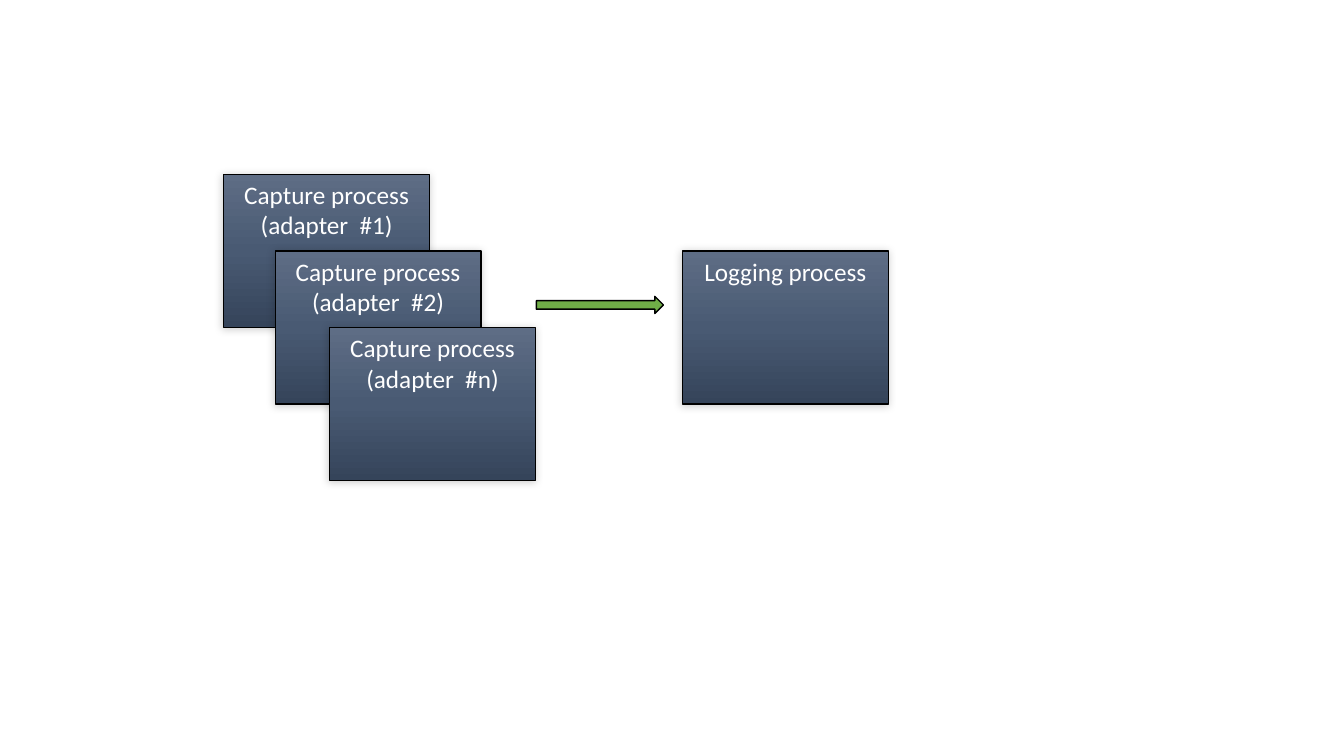
from copy import deepcopy

from lxml.etree import SubElement
from pptx import Presentation
from pptx.dml.color import RGBColor
from pptx.enum.shapes import MSO_SHAPE as Shape
from pptx.enum.text import MSO_ANCHOR as Anchor, PP_ALIGN as Align
from pptx.oxml.ns import qn
from pptx.util import Inches, Pt

WHITE = RGBColor(0xFF, 0xFF, 0xFF)
BLACK = RGBColor(0x00, 0x00, 0x00)
GREEN = RGBColor(0x70, 0xAD, 0x47)
SLATE_STOPS = (
    (0, RGBColor(0x5E, 0x6D, 0x85)),
    (0.5, RGBColor(0x49, 0x5A, 0x73)),
    (1, RGBColor(0x35, 0x44, 0x5A)),
)
BOX_WIDTH, BOX_HEIGHT = 2.04, 1.52
STACK_TOP = 1.73
STACK_STEP = BOX_HEIGHT / 2
CAPTURE_BOXES = ((2.22, "1"), (2.73, "2"), (3.27, "n"))
TEXT_FORMAT = {"name": "Calibri", "size": Pt(18)}


def add_outlined_shape(slide, kind, left, top, width, height):
    """Add a preset shape with a thin black outline and no shadow."""
    shape = slide.shapes.add_shape(
        kind, Inches(left), Inches(top), Inches(width), Inches(height))
    shape.shadow.inherit = False
    shape.line.color.rgb = BLACK
    shape.line.width = Pt(1)
    return shape


def fill_with_gradient(shape):
    """Fill a shape with the three slate tones from top to bottom."""
    shape.fill.gradient()
    shape.fill.gradient_angle = 270
    stop_list = shape.element.spPr.find(qn("a:gradFill")).find(qn("a:gsLst"))
    stop_list.insert(1, deepcopy(stop_list[0]))
    for stop, (position, color) in zip(shape.fill.gradient_stops, SLATE_STOPS):
        stop.position = position
        stop.color.rgb = color


def add_soft_shadow(shape):
    """Give a shape a faint blurred black shadow."""
    effects = shape.element.spPr.find(qn("a:effectLst"))
    shadow = SubElement(
        effects, qn("a:outerShdw"), blurRad=str(Pt(6)), dist=str(Pt(1)),
        dir=str(135 * 60000), algn="ctr", rotWithShape="0")
    color = SubElement(shadow, qn("a:srgbClr"), val=str(BLACK))
    SubElement(color, qn("a:alpha"), val="20000")


def add_process_box(slide, left, top, lines):
    """Add a process box with its label centred at the top."""
    box = add_outlined_shape(
        slide, Shape.RECTANGLE, left, top, BOX_WIDTH, BOX_HEIGHT)
    fill_with_gradient(box)
    add_soft_shadow(box)
    frame = box.text_frame
    frame.vertical_anchor = Anchor.TOP
    frame.text = "\n".join(lines)
    for paragraph in frame.paragraphs:
        paragraph.alignment = Align.CENTER
        font = paragraph.runs[0].font
        for name, value in TEXT_FORMAT.items():
            setattr(font, name, value)
        font.color.rgb = WHITE


def add_flow_arrow(slide, left, top, width, height):
    """Add a green block arrow pointing right."""
    arrow = add_outlined_shape(
        slide, Shape.RIGHT_ARROW, left, top, width, height)
    arrow.fill.solid()
    arrow.fill.fore_color.rgb = GREEN


def main():
    """Build the capture and logging process slide."""
    presentation = Presentation()
    presentation.slide_width = Inches(13.33)
    presentation.slide_height = Inches(7.5)
    slide = presentation.slides.add_slide(presentation.slide_layouts[6])

    add_process_box(slide, 6.77, STACK_TOP + STACK_STEP, ["Logging process"])
    for index, (left, adapter) in enumerate(CAPTURE_BOXES):
        add_process_box(slide, left, STACK_TOP + index * STACK_STEP,
                        ["Capture process", f"(adapter  #{adapter})"])
    add_flow_arrow(slide, 5.32, 2.94, 1.26, 0.17)

    presentation.save("out.pptx")


main()
